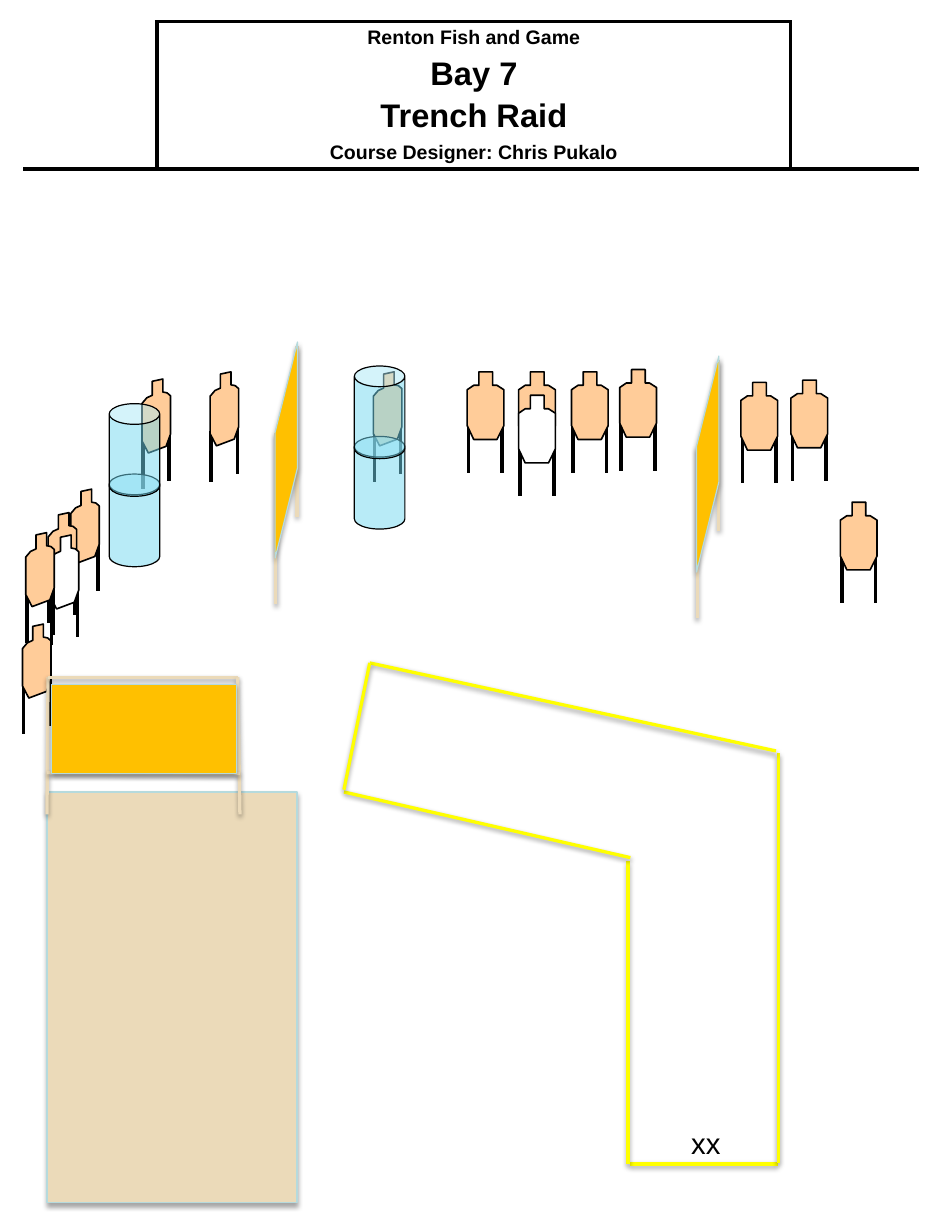
from dataclasses import dataclass
from lxml.etree import SubElement as Sub
from pptx import Presentation
from pptx.dml.color import RGBColor as RGB
from pptx.enum.shapes import MSO_CONNECTOR as Conn, MSO_SHAPE as Kind
from pptx.enum.text import MSO_ANCHOR as Anchor, MSO_AUTO_SIZE as Fit, PP_ALIGN as Align
from pptx.oxml.ns import qn
from pptx.util import Pt


@dataclass(frozen=True)
class Theme:
    font: str = "Arial"
    ink: str = "000000"
    paper: str = "FFFFFF"
    card: str = "FFCC99"
    wall: str = "FFC000"
    sand: str = "EBDAB9"
    edge: str = "B5DADD"
    zone: str = "FFFF00"
    drum: str = "73D9F1"
    small: int = 12
    label: int = 18
    large: int = 20
    thin: float = 0.75
    rim: float = 1
    pole: float = 2
    rule: float = 2.25


T = Theme()

FRONT = ([(7.2, 0), (15.6, 0), (15.6, 8.3), (18.3, 8.3), (22.5, 11), (22.5, 33),
          (18.3, 41.5), (4, 41.5), (0, 33), (0, 11), (4, 8.3), (7.2, 8.3)],
         [(0.9, 30.5, 62), (21.5, 30.5, 62)])
SIDE = ([(6.3, 1.4), (12.8, 0), (12.8, 8), (15.4, 8.5), (17.5, 10.3), (17.5, 33.8),
         (14.8, 41.3), (3.9, 45.4), (0, 38), (0, 15), (3, 11.5), (6.3, 10)],
        [(0.7, 36.5, 67.7), (16.7, 31.6, 62.6)])


def effect(shape, drop=0):
    node = Sub(shape.element.spPr, qn("a:effectLst"))
    if drop:
        cast = Sub(node, qn("a:outerShdw"), blurRad=str(Pt(3.1)), dist=str(Pt(drop)),
                   dir="5400000", rotWithShape="0")
        tint = Sub(cast, qn("a:srgbClr"), val=T.ink)
        Sub(tint, qn("a:alpha"), val="38000" if drop < 1.7 else "35000")


def paint(shape, fill, line, width, drop=0):
    shape.fill.solid()
    shape.fill.fore_color.rgb = RGB.from_string(fill)
    shape.line.color.rgb = RGB.from_string(line)
    shape.line.width = Pt(width)
    effect(shape, drop)


def stroke(shapes, start, end, color, width, drop=0):
    line = shapes.add_connector(Conn.STRAIGHT, *map(Pt, (*start, *end)))
    line.line.color.rgb = RGB.from_string(color)
    line.line.width = Pt(width)
    effect(line, drop)


def panel(shapes, kind, box, fill):
    shape = shapes.add_shape(kind, *map(Pt, box))
    paint(shape, fill, T.edge, T.thin, 1.8)
    return shape


def border(cell, sides):
    props = cell._tc.get_or_add_tcPr()
    for side in "LRTB":
        if side in sides:
            line = Sub(props, qn(f"a:ln{side}"), w=str(Pt(T.rule)))
            Sub(Sub(line, qn("a:solidFill")), qn("a:srgbClr"), val=T.ink)


def header(slide, x, y, w, h):
    table = slide.shapes.add_table(1, 4, *map(Pt, (x, y, w, h))).table
    table.first_row = table.horz_banding = False
    for col, part in zip(table.columns, (0.15, 0.36, 0.346, 0.144)):
        col.width = Pt(w * part)
    table.cell(0, 1).merge(table.cell(0, 2))
    for cell, sides in zip(table.rows[0].cells, ("RB", "LRTB", "LRTB", "LB")):
        border(cell, sides)
        cell.fill.solid()
        cell.fill.fore_color.rgb = RGB.from_string(T.paper)
    cell = table.cell(0, 1)
    cell.vertical_anchor = Anchor.MIDDLE
    cell.margin_left = cell.margin_right = cell.margin_top = cell.margin_bottom = Pt(3.6)
    cell.text_frame.text = ("Renton Fish and Game\nBay 7\nTrench Raid\n"
                            "Course Designer: Chris Pukalo")
    sizes = (T.small, T.large, T.large, T.small)
    for i, (para, size) in enumerate(zip(cell.text_frame.paragraphs, sizes)):
        para.alignment = Align.CENTER
        if i:
            para.space_before = Pt(4)
        style(para, size, True)


def style(para, size, bold=False):
    for run in para.runs:
        run.font.name = T.font
        run.font.size = Pt(size)
        run.font.bold = bold
        run.font.color.rgb = RGB.from_string(T.ink)


def target(slide, x, y, form, fill=T.card):
    shapes = slide.shapes.add_group_shape().shapes
    rim, legs = form
    for dx, top, end in legs:
        stroke(shapes, (x + dx, y + top), (x + dx, y + end), T.ink, T.rule)
    first, *rest = [(Pt(x + dx), Pt(y + dy)) for dx, dy in rim]
    pen = shapes.build_freeform(*first)
    pen.add_line_segments(rest)
    paint(pen.convert_to_shape(), fill, T.ink, T.rim)


def barrel(slide, x, y):
    shapes = slide.shapes.add_group_shape().shapes
    for dy in (43.2, 0):
        can = shapes.add_shape(Kind.CAN, *map(Pt, (x, y + dy, 31, 56.9)))
        can.adjustments[0] = 0.41
        paint(can, T.drum, T.ink, T.thin)
        tint = can.element.spPr.find(qn("a:solidFill"))[0]
        Sub(tint, qn("a:alpha"), val="50000")


def wall(slide, x, y):
    shapes = slide.shapes.add_group_shape().shapes
    for dx, dy in ((0, 53.5), (13, 0)):
        stroke(shapes, (x + dx, y + dy), (x + dx, y + dy + 104.7), T.sand, T.pole, 1.6)
    face = panel(shapes, Kind.PARALLELOGRAM, (x - 59.8, y + 56.9, 132.5, 13.7), T.wall)
    face.adjustments[0] = 4.03
    face.rotation = 90
    face.element.spPr.find(qn("a:xfrm")).set("flipH", "1")


def zone(slide, x, y):
    edges = (((175.7, 307.4), (266.4, 307.4)), ((266.4, 306.7), (266.4, 55.4)),
             ((174.2, 307.4), (174.2, 121.7)), ((265, 54), (15.8, 0)),
             ((175.7, 119.5), (0, 79.2)), ((15.8, 0), (0, 77.8)))
    for edge in edges:
        start, end = [(x + dx, y + dy) for dx, dy in edge]
        stroke(slide.shapes, start, end, T.zone, T.pole, 1.6)


def mark(slide, x, y, w, h):
    frame = slide.shapes.add_textbox(*map(Pt, (x, y, w, h))).text_frame
    frame.word_wrap = False
    frame.auto_size = Fit.SHAPE_TO_FIT_TEXT
    frame.text = "xx"
    style(frame.paragraphs[0], T.label)


def gate(slide, x, y, w, h):
    shapes = slide.shapes.add_group_shape().shapes
    bar = y + 58.5
    for start, end in (((x + 0.7, y), (x, y + h)), ((x + 0.7, y), (x + w - 1.4, y)),
                       ((x + w - 1.4, y), (x + w, y + h)), ((x, bar), (x + w, bar + 0.5))):
        stroke(shapes, start, end, T.sand, T.pole, 1.6)
    panel(shapes, Kind.RECTANGLE, (x + 2.9, y + 4.3, w - 5.2, 54.7), T.wall)


def main():
    deck = Presentation()
    deck.slide_width, deck.slide_height = Pt(576), Pt(756)
    slide = deck.slides.add_slide(deck.slide_layouts[6])
    header(slide, 13.7, 13, 550.8, 77.8)
    for x, y in ((318.2, 228.2), (380.2, 226.8), (286.6, 228.2)):
        target(slide, x, y, FRONT)
    target(slide, 128.9, 228.2, SIDE)
    wall(slide, 169.2, 212.4)
    zone(slide, 211, 406.8)
    wall(slide, 427.7, 221)
    for x, y in ((454.5, 234.7), (485.2, 233.3)):
        target(slide, x, y, FRONT)
    panel(slide.shapes, Kind.RECTANGLE, (28.8, 486, 153.4, 252), T.sand)
    target(slide, 515.5, 308.2, FRONT)
    target(slide, 229, 228.2, SIDE)
    barrel(slide, 217.4, 224.6)
    target(slide, 350.6, 228.2, FRONT)
    target(slide, 318.2, 242.6, FRONT, T.paper)
    target(slide, 87.1, 232.6, SIDE)
    barrel(slide, 67, 247.7)
    for x, y in ((43.4, 300.2), (29.5, 314.6), (13.8, 383)):
        target(slide, x, y, SIDE)
    target(slide, 30.8, 328.3, SIDE, T.paper)
    target(slide, 15.8, 326.9, SIDE)
    mark(slide, 416.9, 686.9, 32.4, 28.8)
    gate(slide, 28.8, 415.6, 118.4, 84.1)
    deck.save("out.pptx")


if __name__ == "__main__":
    main()
